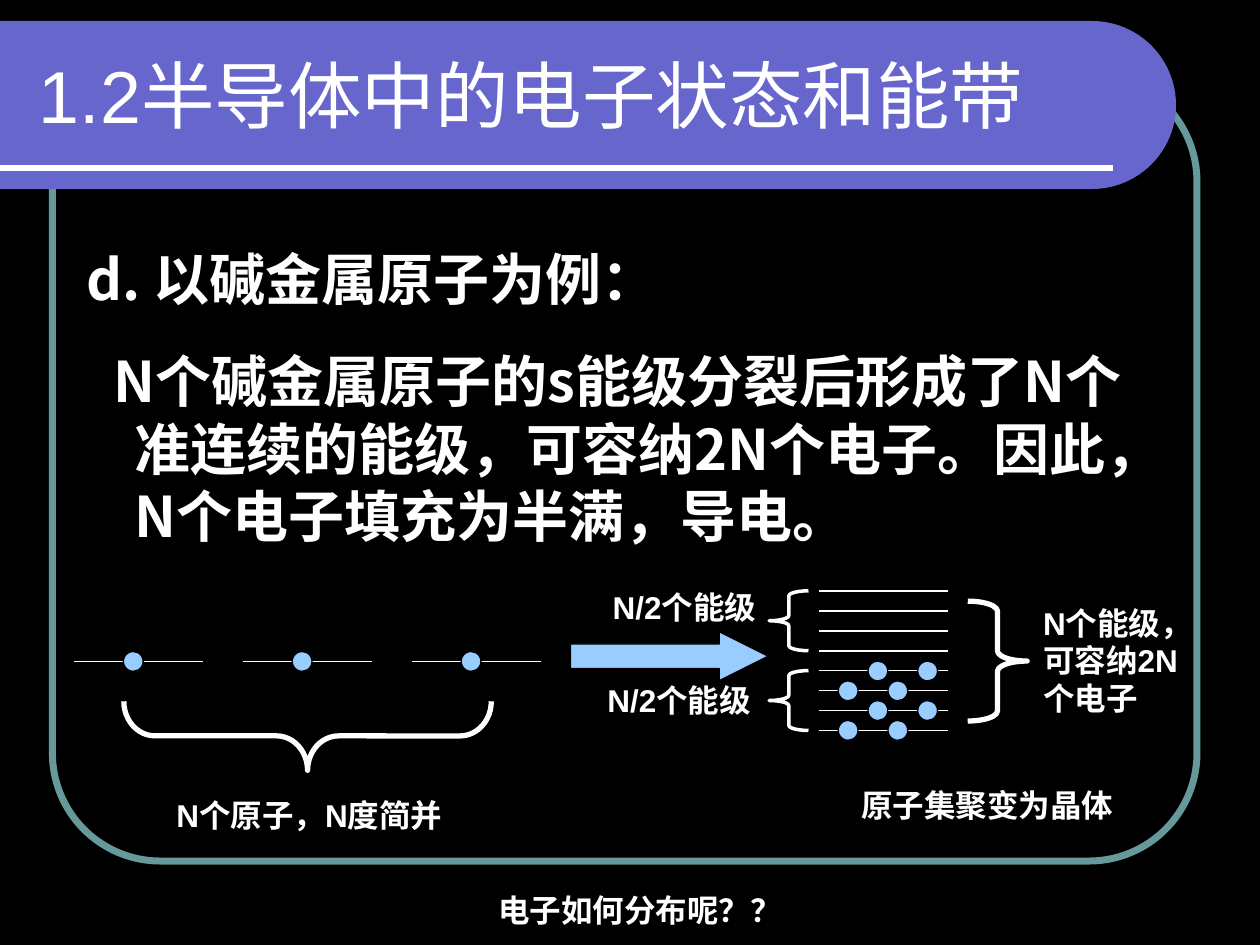
from lxml import etree
from pptx import Presentation
from pptx import util as u
from pptx.dml.color import RGBColor
from pptx.enum import shapes, text
from pptx.oxml import ns

Pt = u.Pt
BLACK = RGBColor(0x00, 0x00, 0x00)
WHITE = RGBColor(0xFF, 0xFF, 0xFF)
TEAL = RGBColor(0x66, 0x99, 0x99)
VIOLET = RGBColor(0x66, 0x66, 0xCC)
SKY = RGBColor(0x99, 0xCC, 0xFF)
LATIN_FONT = "Arial"
CHINESE_FONT = "Noto Sans CJK SC"
LEVEL_LENGTH = 73.5
ELECTRON_SIZE = 11.3
Kind = shapes.MSO_SHAPE


def add_figure(page, kind, left, top, width, height, fill=None, line=None,
               weight=0.75, adjustments=(), rotation=0):
    figure = page.shapes.add_shape(kind, Pt(left), Pt(top), Pt(width), Pt(height))
    figure.shadow.inherit = False
    figure.rotation = rotation
    for index, value in enumerate(adjustments):
        figure.adjustments[index] = value
    if fill is None:
        figure.fill.background()
    else:
        figure.fill.solid()
        figure.fill.fore_color.rgb = fill
    if line is None:
        figure.line.fill.background()
    else:
        figure.line.color.rgb = line
        figure.line.width = Pt(weight)
    return figure


def add_level(page, left, y, length=LEVEL_LENGTH, weight=1):
    level = page.shapes.add_connector(
        shapes.MSO_CONNECTOR.STRAIGHT, Pt(left), Pt(y), Pt(left + length), Pt(y))
    level.line.color.rgb = WHITE
    level.line.width = Pt(weight)
    etree.SubElement(level._element.spPr, ns.qn("a:effectLst"))


def add_electron(page, left, top):
    add_figure(page, Kind.OVAL, left, top, ELECTRON_SIZE, ELECTRON_SIZE, SKY, BLACK)


def add_brace(page, kind, left, top, width, height, weight, curve, rotation=0):
    add_figure(page, kind, left, top, width, height, line=WHITE, weight=weight,
               adjustments=(curve, 0.5), rotation=rotation)


def add_span(para, words, size, font, bold):
    span = para.add_run()
    span.text = words
    span.font.size = Pt(size)
    span.font.name = font
    span.font.bold = bold
    span.font.color.rgb = WHITE
    east_asian = etree.Element(ns.qn("a:ea"), typeface=CHINESE_FONT)
    span.font._element.find(ns.qn("a:latin")).addnext(east_asian)


def add_box(page, left, top, width, height):
    box = page.shapes.add_textbox(Pt(left), Pt(top), Pt(width), Pt(height))
    box.text_frame.word_wrap = True
    return box.text_frame


def add_label(page, words, left, top, width, height=28.8,
              align=text.PP_ALIGN.LEFT):
    para = add_box(page, left, top, width, height).paragraphs[0]
    para.alignment = align
    para.line_spacing = Pt(21.5)
    add_span(para, words, 18, LATIN_FONT, True)


def add_frame(page):
    add_figure(page, Kind.ROUNDED_RECTANGLE, 30, 42, 654, 450, line=TEAL,
               weight=4, adjustments=(0.137,))
    add_figure(page, Kind.ROUND_2_SAME_RECTANGLE, 288, -276, 96, 672, VIOLET,
               adjustments=(0.5, 0), rotation=90)
    add_level(page, 0, 96, 636, 3)


def set_title(page):
    title = page.shapes.title
    title.left, title.top, title.width, title.height = Pt(15), Pt(18), Pt(631.5), Pt(72)
    frame = title.text_frame
    frame.auto_size = text.MSO_AUTO_SIZE.NONE
    frame.vertical_anchor = text.MSO_ANCHOR.MIDDLE
    para = frame.paragraphs[0]
    para.alignment = text.PP_ALIGN.LEFT
    add_span(para, "1.2半导体中的电子状态和能带", 42, LATIN_FONT, False)


def add_body(page):
    frame = add_box(page, 42.5, 136, 635, 193)
    entries = [
        ("d. 以碱金属原子为例：", -27),
        ("N个碱金属原子的s能级分裂后形成了N个准连续的能级，可容纳2N个电子。"
         "因此，N个电子填充为半满，导电。", -12),
    ]
    for index, (words, indent) in enumerate(entries):
        para = frame.add_paragraph() if index else frame.paragraphs[0]
        properties = para._p.get_or_add_pPr()
        properties.set("marL", str(Pt(27)))
        properties.set("indent", str(Pt(indent)))
        para.line_spacing = Pt(38.5)
        if index:
            para.space_before = Pt(20)
        add_span(para, words, 32, CHINESE_FONT, True)


def add_atoms(page):
    for index in range(3):
        shift = 96.5 * index
        add_level(page, 42.5 + shift, 378)
        add_electron(page, 70.5 + shift, 372.3)
    add_brace(page, Kind.RIGHT_BRACE, 156, 315.5, 39.5, 210, 3, 0.45, 90)
    add_label(page, "N个原子，N度简并", 74.5, 451.5, 204.5, align=text.PP_ALIGN.CENTER)


def add_crystal(page):
    for index in range(8):
        add_level(page, 468, 337.6 + 11.4 * index)
    for row in range(4):
        left = 479 if row % 2 else 496
        for column in range(2):
            add_electron(page, left + 28.4 * column, 377.8 + 11.3 * row)
    for brace_top, label_left, label_top in ((337.6, 343, 332.5), (383.2, 340, 386)):
        add_brace(page, Kind.LEFT_BRACE, 439.5, brace_top, 22.5, 34.2, 2, 0.13)
        add_label(page, "N/2个能级", label_left, label_top, 113)
    add_brace(page, Kind.RIGHT_BRACE, 553, 343.5, 34, 68.5, 3, 0.17)
    add_label(page, "N个能级，可容纳2N个电子", 589, 341.5, 102, 72)
    add_label(page, "原子集聚变为晶体", 462, 445.5, 204.5, align=text.PP_ALIGN.CENTER)


def main():
    deck = Presentation()
    deck.slide_width, deck.slide_height = Pt(720), Pt(540)
    page = deck.slides.add_slide(deck.slide_layouts[5])
    page.background.fill.solid()
    page.background.fill.fore_color.rgb = BLACK
    add_frame(page)
    title = page.shapes.title._element
    title.getparent().append(title)
    set_title(page)
    add_body(page)
    add_atoms(page)
    add_figure(page, Kind.RIGHT_ARROW, 326, 361, 113, 28, SKY, BLACK,
               adjustments=(0.5, 1))
    add_crystal(page)
    add_label(page, "电子如何分布呢？？", 263.5, 505.5, 204.5, align=text.PP_ALIGN.CENTER)
    deck.save("out.pptx")


if __name__ == "__main__":
    main()
